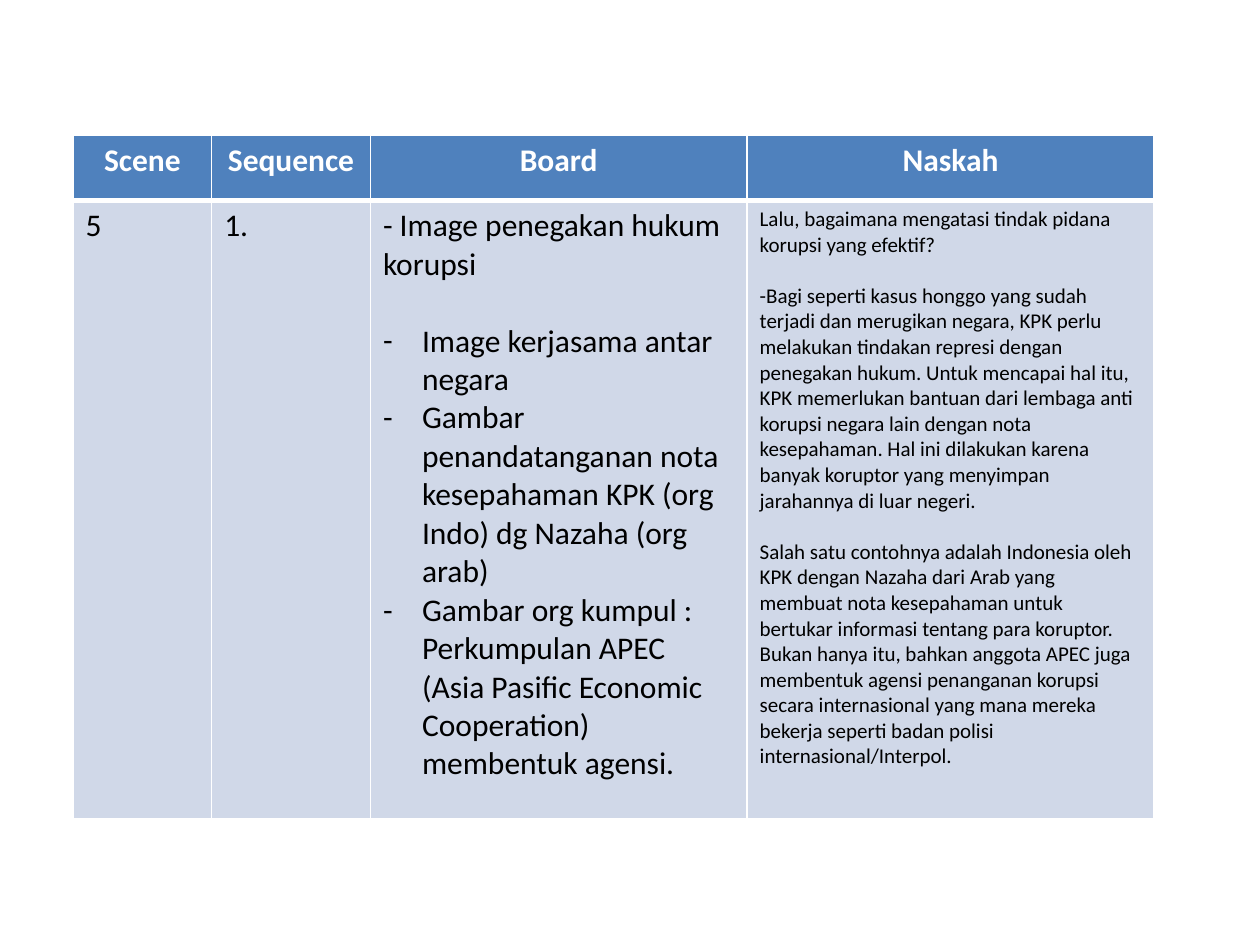
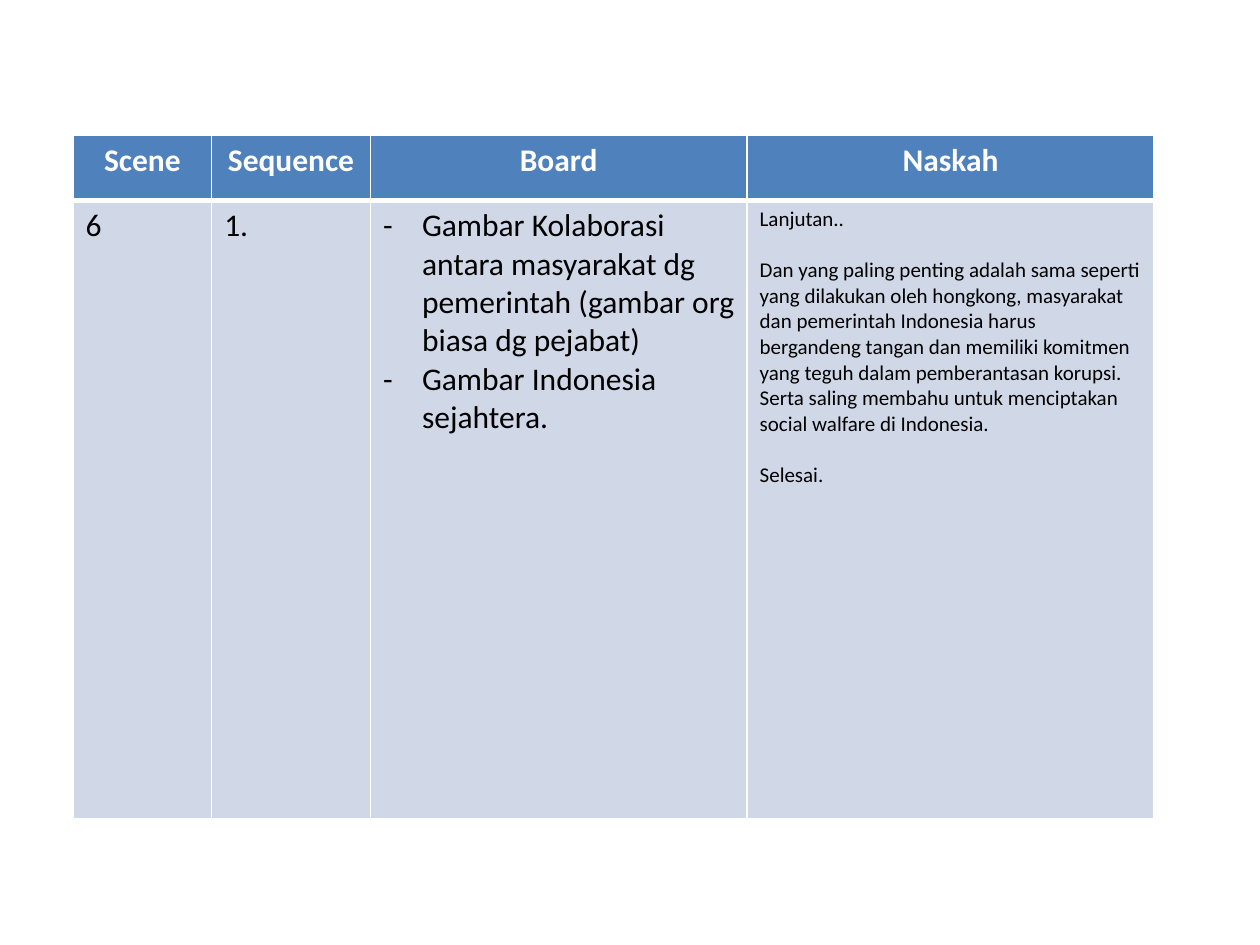
from dataclasses import dataclass

from lxml import etree
from pptx import Presentation
from pptx.dml.color import RGBColor
from pptx.enum.text import PP_ALIGN
from pptx.oxml.ns import qn
from pptx.util import Inches, Pt

HEADER_BLUE = RGBColor(0x4F, 0x81, 0xBD)
BODY_BLUE = RGBColor(0xD0, 0xD8, 0xE8)
WHITE = RGBColor(0xFF, 0xFF, 0xFF)
BLACK = RGBColor(0, 0, 0)

FONT = "Calibri"
LINE_HEIGHT = 1.22
HEADINGS = ["Scene", "Sequence", "Board", "Naskah"]
COLUMN_WIDTHS = [1.1, 1.26, 2.99, 3.23]
ROW_HEIGHTS = [0.52, 4.91]
TEXT_SIZES = [18, 18, 18, 12]


@dataclass
class Line:
    text: str
    dash: bool = False
    gap: bool = False


class Storyboard:
    def __init__(self):
        self.deck = Presentation()
        self.deck.slide_width = Inches(10)
        self.deck.slide_height = Inches(7.5)
        self.slide = None

    def add_slide(self):
        self.slide = self.deck.slides.add_slide(self.deck.slide_layouts[6])

    def add_scene_table(self, contents):
        scene = self.slide.shapes.add_table(
            2, len(HEADINGS), Inches(0.58), Inches(1.07),
            Inches(sum(COLUMN_WIDTHS)), Inches(sum(ROW_HEIGHTS))).table
        for column, width in zip(scene.columns, COLUMN_WIDTHS):
            column.width = Inches(width)
        for row, height in zip(scene.rows, ROW_HEIGHTS):
            row.height = Inches(height)
        for index, (heading, lines) in enumerate(zip(HEADINGS, contents)):
            header, body = scene.cell(0, index), scene.cell(1, index)
            self.style_cell(header, HEADER_BLUE, bottom=3)
            self.style_cell(body, BODY_BLUE, top=3)
            self.fill_text(header, [Line(heading)], 18, WHITE, True, PP_ALIGN.CENTER)
            self.fill_text(body, lines, TEXT_SIZES[index], BLACK)

    def style_cell(self, cell, color, top=1, bottom=1):
        cell.fill.solid()
        cell.fill.fore_color.rgb = color
        properties = cell._tc.get_or_add_tcPr()
        edges = {"a:lnL": 1, "a:lnR": 1, "a:lnT": top, "a:lnB": bottom}
        for position, (edge, width) in enumerate(edges.items()):
            border = etree.Element(qn(edge), w=str(Pt(width)))
            fill = etree.SubElement(border, qn("a:solidFill"))
            etree.SubElement(fill, qn("a:srgbClr"), val=str(WHITE))
            properties.insert(position, border)

    def fill_text(self, cell, lines, size, color, bold=False, align=PP_ALIGN.LEFT):
        frame = cell.text_frame
        for index, line in enumerate(lines):
            paragraph = frame.add_paragraph() if index else frame.paragraphs[0]
            paragraph.text = line.text
            paragraph.alignment = align
            if line.gap:
                paragraph.space_before = Pt(round(size * LINE_HEIGHT, 1))
            if line.dash:
                self.add_dash(paragraph)
            font = paragraph.font
            font.name = FONT
            font.size = Pt(size)
            font.bold = bold
            font.color.rgb = color

    def add_dash(self, paragraph):
        properties = paragraph._p.get_or_add_pPr()
        properties.set("marL", str(Inches(0.31)))
        properties.set("indent", str(Inches(-0.31)))
        etree.SubElement(properties, qn("a:buFont"), typeface=FONT)
        etree.SubElement(properties, qn("a:buChar"), char="-")


SCENES = [
    [
        [Line("5")],
        [Line("1.")],
        [
            Line("- Image penegakan hukum korupsi"),
            Line("Image kerjasama antar negara", dash=True, gap=True),
            Line("Gambar penandatanganan nota kesepahaman KPK (org Indo) "
                 "dg Nazaha (org arab)", dash=True),
            Line("Gambar org kumpul : Perkumpulan APEC (Asia Pasific Economic "
                 "Cooperation) membentuk agensi.", dash=True),
        ],
        [
            Line("Lalu, bagaimana mengatasi tindak pidana korupsi yang efektif?"),
            Line("-Bagi seperti kasus honggo yang sudah terjadi dan merugikan "
                 "negara, KPK perlu melakukan tindakan represi dengan penegakan "
                 "hukum. Untuk mencapai hal itu, KPK memerlukan bantuan dari "
                 "lembaga anti korupsi negara lain dengan nota kesepahaman. Hal "
                 "ini dilakukan karena banyak koruptor yang menyimpan "
                 "jarahannya di luar negeri.", gap=True),
            Line("Salah satu contohnya adalah Indonesia oleh KPK dengan Nazaha "
                 "dari Arab yang membuat nota kesepahaman untuk bertukar "
                 "informasi tentang para koruptor.", gap=True),
            Line("Bukan hanya itu, bahkan anggota APEC juga membentuk agensi "
                 "penanganan korupsi secara internasional yang mana mereka "
                 "bekerja seperti badan polisi internasional/Interpol."),
        ],
    ],
    [
        [Line("6")],
        [Line("1.")],
        [
            Line("Gambar Kolaborasi antara masyarakat dg pemerintah (gambar org "
                 "biasa dg pejabat)", dash=True),
            Line("Gambar Indonesia sejahtera.", dash=True),
        ],
        [
            Line("Lanjutan.."),
            Line("Dan yang paling penting adalah sama seperti yang dilakukan "
                 "oleh hongkong, masyarakat dan pemerintah Indonesia harus "
                 "bergandeng tangan dan memiliki komitmen yang teguh dalam "
                 "pemberantasan korupsi. Serta saling membahu untuk menciptakan "
                 "social walfare di Indonesia.", gap=True),
            Line("Selesai.", gap=True),
        ],
    ],
]


def main():
    storyboard = Storyboard()
    for contents in SCENES:
        storyboard.add_slide()
        storyboard.add_scene_table(contents)
    storyboard.deck.save("out.pptx")


if __name__ == "__main__":
    main()
